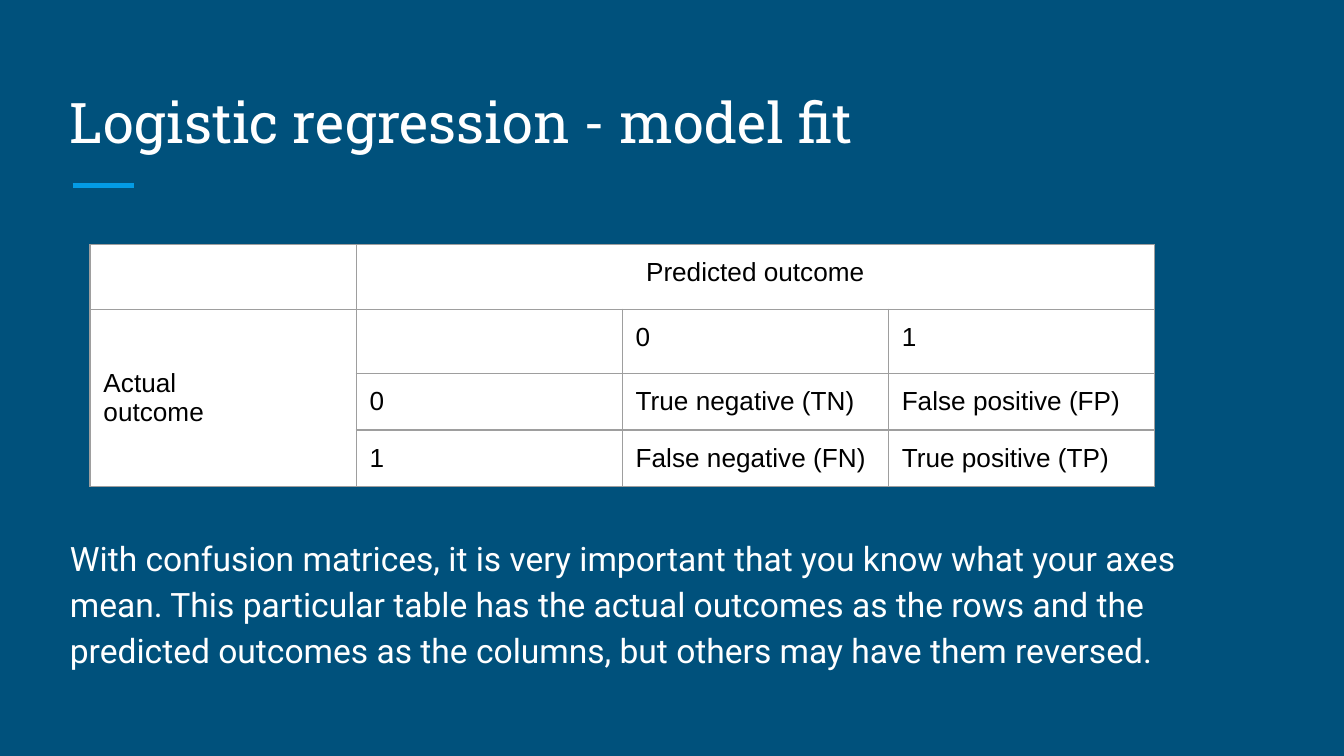
from dataclasses import dataclass

from lxml import etree
from pptx import Presentation
from pptx.dml.color import RGBColor
from pptx.enum.shapes import MSO_CONNECTOR
from pptx.enum.text import MSO_ANCHOR, MSO_AUTO_SIZE, PP_ALIGN
from pptx.oxml.ns import qn
from pptx.util import Inches, Pt

STRAIGHT = MSO_CONNECTOR.STRAIGHT
TOP, MIDDLE, BOTTOM = MSO_ANCHOR.TOP, MSO_ANCHOR.MIDDLE, MSO_ANCHOR.BOTTOM
LEFT, CENTER = PP_ALIGN.LEFT, PP_ALIGN.CENTER
NO_AUTOFIT = MSO_AUTO_SIZE.NONE


@dataclass(frozen=True)
class TextStyle:
    """Font, size and colour of a kind of text."""

    name: str
    size: float
    color: str


@dataclass(frozen=True)
class Theme:
    """Colours and text styles of the slide."""

    background: str = "00517C"
    accent: str = "039BE5"
    cell: str = "FFFFFF"
    border: str = "9E9E9E"
    title: TextStyle = TextStyle("Roboto Slab", 30, "FFFFFF")
    body: TextStyle = TextStyle("Roboto", 18, "FFFFFF")
    table: TextStyle = TextStyle("Arial", 14, "000000")


@dataclass(frozen=True)
class MatrixCell:
    """A filled-in cell of the confusion matrix."""

    row: int
    column: int
    text: str
    row_span: int = 1
    column_span: int = 1
    align: PP_ALIGN = LEFT
    anchor: MSO_ANCHOR = TOP


THEME = Theme()
SLIDE_WIDTH = Inches(10)
SLIDE_HEIGHT = SLIDE_WIDTH * 9 // 16
MARGIN = Inches(0.1)
COLUMN_WIDTH = Inches(1.98)
ROW_HEIGHTS = (0.48, 0.48, 0.42, 0.42)
COLUMN_COUNT = 4
MATRIX = (
    MatrixCell(0, 1, "Predicted outcome", column_span=3, align=CENTER),
    MatrixCell(1, 0, "Actual\noutcome", row_span=3, anchor=MIDDLE),
    MatrixCell(1, 2, "0"),
    MatrixCell(1, 3, "1"),
    MatrixCell(2, 1, "0"),
    MatrixCell(2, 2, "True negative (TN)"),
    MatrixCell(2, 3, "False positive (FP)"),
    MatrixCell(3, 1, "1"),
    MatrixCell(3, 2, "False negative (FN)"),
    MatrixCell(3, 3, "True positive (TP)"),
)
TITLE = "Logistic regression - model fit"
EXPLANATION = (
    "With confusion matrices, it is very important that you know what your axes mean. "
    "This particular table has the actual outcomes as the rows and the predicted "
    "outcomes as the columns, but others may have them reversed."
)


def style_paragraph(para, style: TextStyle, align: PP_ALIGN = LEFT) -> None:
    """Apply a text style and alignment to a paragraph."""
    para.alignment = align
    para.font.name = style.name
    para.font.size = Pt(style.size)
    para.font.color.rgb = RGBColor.from_string(style.color)


def fill_placeholder(box, text: str, style: TextStyle, top: float, height: float):
    """Place a placeholder, set its text and return its paragraph."""
    box.left, box.top = Inches(0.42), Inches(top)
    box.width, box.height = Inches(9.15), Inches(height)
    frame = box.text_frame
    frame.text = text
    frame.word_wrap = True
    frame.auto_size = NO_AUTOFIT
    frame.vertical_anchor = BOTTOM
    frame.margin_left = frame.margin_right = MARGIN
    frame.margin_top = frame.margin_bottom = MARGIN
    para = frame.paragraphs[0]
    style_paragraph(para, style)
    return para


def add_body(box) -> None:
    """Write the explanation, unbulleted, at the foot of the body."""
    para = fill_placeholder(box, EXPLANATION, THEME.body, 1.63, 3.37)
    box.text_frame.margin_bottom = Inches(0.01)
    para.line_spacing = 1.15
    para.space_before = Pt(0)
    properties = para._p.get_or_add_pPr()
    properties.set("marL", "0")
    properties.set("indent", "0")
    bullet = etree.Element(qn("a:buNone"))
    properties.find(qn("a:defRPr")).addprevious(bullet)


def add_accent(page) -> None:
    """Draw the short rule under the title."""
    rule = page.shapes.add_connector(
        STRAIGHT, Inches(0.54), Inches(1.38), Inches(1), Inches(1.38)
    )
    rule.line.color.rgb = RGBColor.from_string(THEME.accent)
    rule.line.width = Pt(3)
    etree.SubElement(rule._element.spPr, qn("a:effectLst"))


def format_cell(cell) -> None:
    """Give a cell its margins, fill, empty-line size and four borders."""
    cell.margin_left = cell.margin_right = MARGIN
    cell.margin_top = cell.margin_bottom = MARGIN
    cell.fill.solid()
    cell.fill.fore_color.rgb = RGBColor.from_string(THEME.cell)
    empty_line = cell.text_frame.paragraphs[0]._p
    etree.SubElement(empty_line, qn("a:endParaRPr"), sz=str(THEME.table.size * 100))
    properties = cell._tc.get_or_add_tcPr()
    for index, side in enumerate(("lnL", "lnR", "lnT", "lnB")):
        border = etree.Element(qn(f"a:{side}"), w=str(Pt(0.75)))
        fill = etree.SubElement(border, qn("a:solidFill"))
        etree.SubElement(fill, qn("a:srgbClr"), val=THEME.border)
        properties.insert(index, border)


def add_matrix(page) -> None:
    """Build the confusion matrix table."""
    table = page.shapes.add_table(
        len(ROW_HEIGHTS), COLUMN_COUNT, Inches(0.67), Inches(1.82),
        COLUMN_WIDTH * COLUMN_COUNT, Inches(sum(ROW_HEIGHTS)),
    ).table
    table.first_row = table.horz_banding = False
    for column in table.columns:
        column.width = COLUMN_WIDTH
    for row, height in zip(table.rows, ROW_HEIGHTS):
        row.height = Inches(height)
    for cell in table.iter_cells():
        format_cell(cell)
    for entry in MATRIX:
        cell = table.cell(entry.row, entry.column)
        if entry.row_span * entry.column_span > 1:
            cell.merge(table.cell(
                entry.row + entry.row_span - 1, entry.column + entry.column_span - 1
            ))
        cell.text = entry.text
        cell.vertical_anchor = entry.anchor
        for para in cell.text_frame.paragraphs:
            style_paragraph(para, THEME.table, entry.align)


def build_deck() -> None:
    """Create the slide and save the deck."""
    deck = Presentation()
    deck.slide_width, deck.slide_height = SLIDE_WIDTH, SLIDE_HEIGHT
    page = deck.slides.add_slide(deck.slide_layouts[1])
    page.background.fill.solid()
    page.background.fill.fore_color.rgb = RGBColor.from_string(THEME.background)
    fill_placeholder(page.shapes.title, TITLE, THEME.title, 0.5, 0.75)
    add_body(page.placeholders[1])
    add_accent(page)
    add_matrix(page)
    deck.save("out.pptx")


build_deck()
